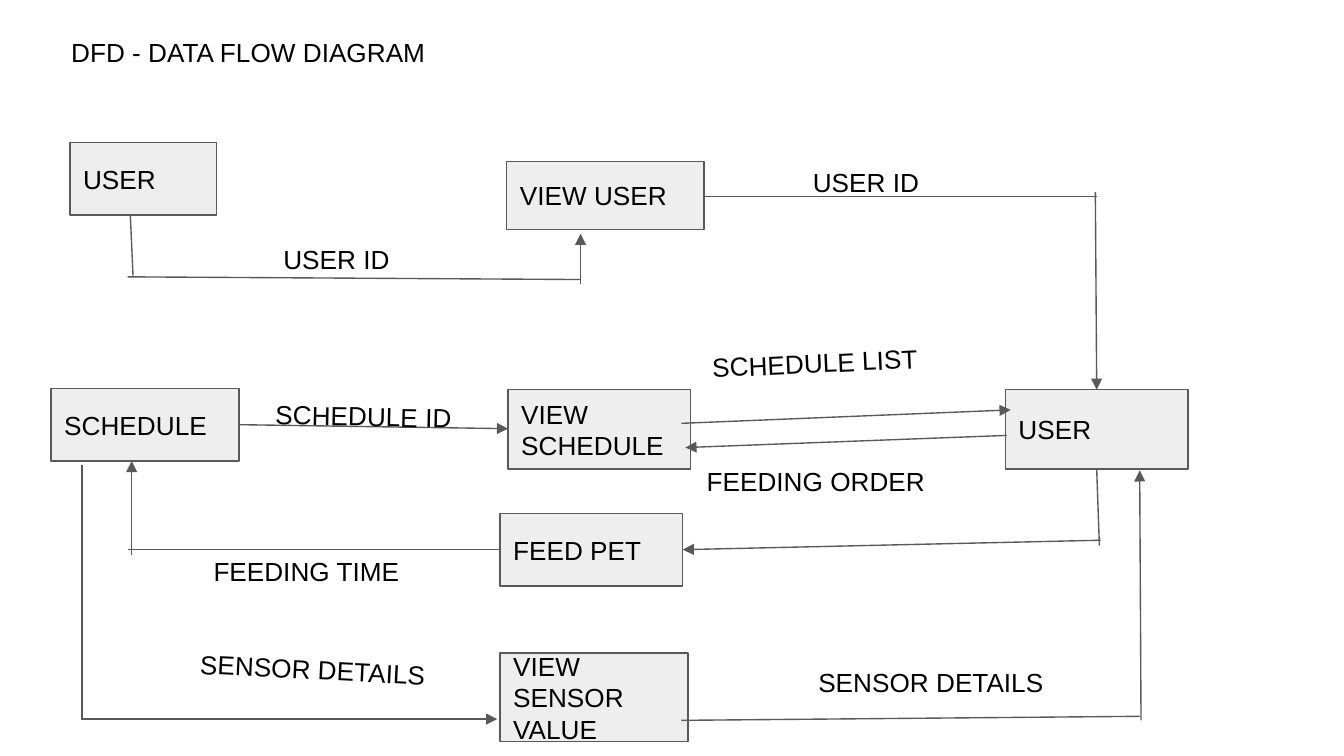
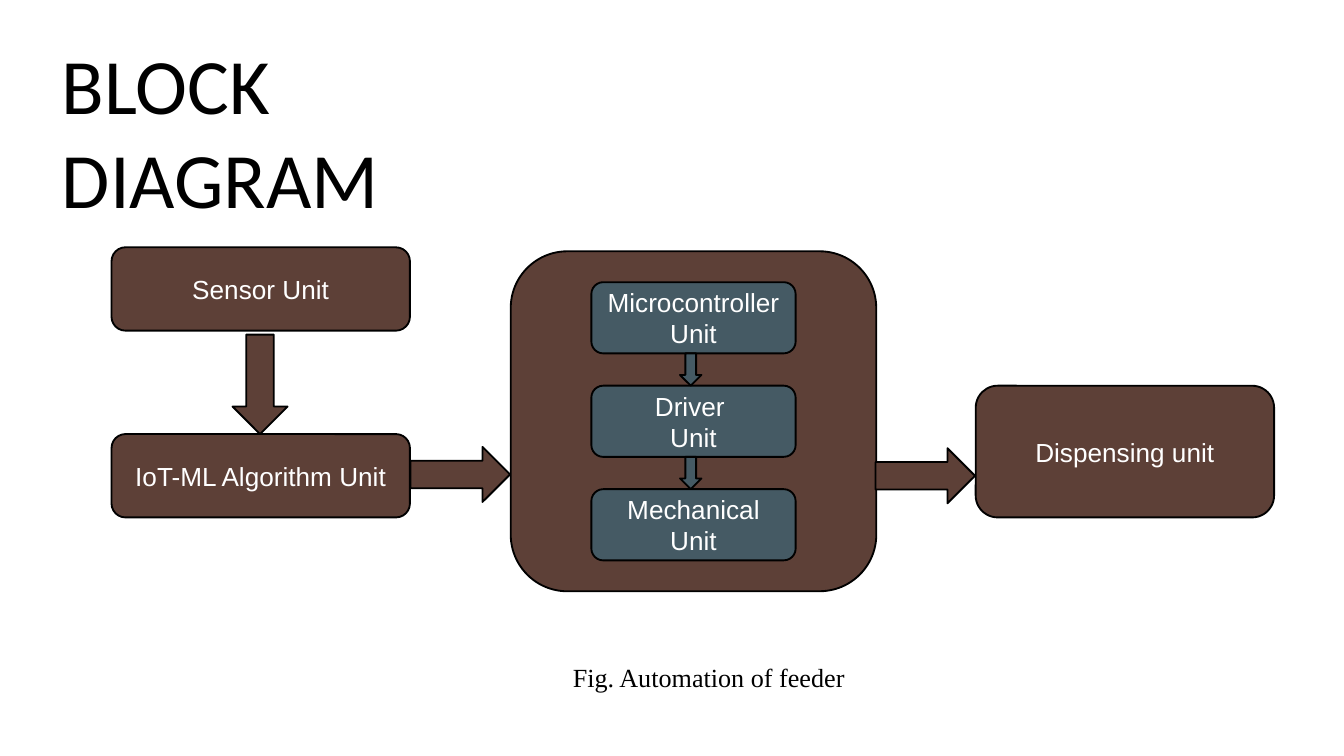
from lxml.etree import SubElement
from pptx import Presentation
from pptx.dml.color import RGBColor
from pptx.enum.shapes import MSO_CONNECTOR as Link, MSO_SHAPE as Form
from pptx.enum.text import MSO_ANCHOR as Anchor, MSO_AUTO_SIZE as Fit, PP_ALIGN as Align
from pptx.oxml.ns import qn
from pptx.util import Pt

PX = 9144
WIDE = 1000 * PX
BLACK = RGBColor(0x00, 0x00, 0x00)
WHITE = RGBColor(0xFF, 0xFF, 0xFF)
PALE = RGBColor(0xEE, 0xEE, 0xEE)
GREY = RGBColor(0x59, 0x59, 0x59)
BROWN = RGBColor(0x5D, 0x40, 0x37)
SLATE = RGBColor(0x45, 0x5A, 0x64)

FLOW = dict(fill=PALE, edge=GREY, width=0.75)
EARTH = dict(fill=BROWN, edge=BLACK, width=1)
STEEL = dict(fill=SLATE, edge=BLACK, width=1)

NODES = [
    ("USER", 52, 106, 109, 54),
    ("VIEW USER", 377, 120, 147, 51),
    ("VIEW SCHEDULE", 378, 290, 136, 59),
    ("VIEW SENSOR VALUE", 372, 486, 140, 66),
    ("SCHEDULE", 38, 289, 140, 54),
    ("FEED PET", 372, 382, 136, 54),
    ("USER", 748, 290, 136, 59),
]
LINES = [
    (97, 160, 99, 205),
    (95, 206, 432, 208),
    (524, 146, 816, 146),
    (372, 409, 95, 409),
    (816, 349, 818, 406),
    (61, 346, 61, 536),
    (507, 536, 848, 533),
]
ARROWS = [
    (432, 211, 432, 174),
    (815, 143, 816, 290),
    (178, 316, 378, 319),
    (507, 315, 752, 305),
    (749, 324, 510, 333),
    (98, 413, 98, 343),
    (819, 402, 508, 409),
    (62, 535, 370, 535),
    (849, 536, 848, 350),
]
LABELS = [
    ("USER ID", 201, 171, 147, 0),
    ("USER ID", 595, 114, 136, 0),
    ("SCHEDULE ID", 195, 288, 162, 1.3),
    ("FEEDING ORDER", 516, 336, 295, 0),
    ("SCHEDULE LIST", 520, 246, 257, 357.3),
    ("FEEDING TIME", 149, 403, 181, 0),
    ("SENSOR DETAILS", 139, 477, 209, 2.9),
    ("SENSOR DETAILS", 599, 486, 225, 0),
]
UNITS = ["Microcontroller Unit", "Driver \nUnit", "Mechanical Unit"]


def scale(*px):
    return [n * PX for n in px]


def apply(item, vals):
    for key, val in vals.items():
        setattr(item, key, val)


def write(shape, text, size=14, face="Arial", hue=BLACK, align=Align.LEFT,
          anchor=Anchor.TOP, fit=Fit.NONE, pad=(10, 10)):
    frame = shape.text_frame
    frame.text = text
    side, top = scale(*pad)
    apply(frame, dict(word_wrap=True, auto_size=fit, vertical_anchor=anchor,
                      margin_left=side, margin_right=side,
                      margin_top=top, margin_bottom=top))
    for para in frame.paragraphs:
        para.alignment = align
        for run in para.runs:
            apply(run.font, dict(size=Pt(size), name=face))
            run.font.color.rgb = hue


def title(slide, text, box, **form):
    shape = slide.shapes.title
    apply(shape, dict(zip(("left", "top", "width", "height"), scale(*box))))
    write(shape, text, **form)


def block(slide, kind, box, look):
    shape = slide.shapes.add_shape(kind, *scale(*box))
    shape.shadow.inherit = False
    shape.fill.solid()
    shape.fill.fore_color.rgb = look["fill"]
    shape.line.color.rgb = look["edge"]
    shape.line.width = Pt(look["width"])
    return shape


def node(slide, text, *box):
    write(block(slide, Form.RECTANGLE, box, FLOW), text, anchor=Anchor.MIDDLE)


def unit(slide, text, box, look):
    shape = block(slide, Form.ROUNDED_RECTANGLE, box, look)
    write(shape, text, hue=WHITE, align=Align.CENTER,
          anchor=Anchor.MIDDLE, pad=(7, 4))


def label(slide, text, left, top, width, turn=0, **form):
    shape = slide.shapes.add_textbox(*scale(left, top, width, 44))
    shape.rotation = turn
    write(shape, text, fit=Fit.SHAPE_TO_FIT_TEXT, **form)


def link(slide, ends, head=False):
    line = slide.shapes.add_connector(Link.STRAIGHT, *scale(*ends))
    line.line.color.rgb = GREY
    line.line.width = Pt(0.75)
    props = line.element.spPr
    if head:
        SubElement(props.find(qn("a:ln")), qn("a:tailEnd"), type="triangle")
    SubElement(props, qn("a:effectLst"))


def draw_flow(slide):
    title(slide, "DFD - DATA FLOW DIAGRAM", (43, 17, 800, 44))
    for item in NODES:
        node(slide, *item)
    for ends in LINES:
        link(slide, ends)
    for ends in ARROWS:
        link(slide, ends, head=True)
    for item in LABELS:
        label(slide, *item)


def draw_block(slide):
    title(slide, "BLOCK DIAGRAM", (36, 17, 328, 91), size=42, face="Calibri")
    unit(slide, "Sensor Unit", (83, 184, 222, 62), EARTH)
    block(slide, Form.DOWN_ARROW, (173, 249, 41, 74), EARTH)
    unit(slide, "IoT-ML Algorithm Unit", (83, 323, 222, 62), EARTH)
    block(slide, Form.ROUNDED_RECTANGLE, (380, 187, 272, 253), EARTH)
    for left, top in ((322, 316), (668, 317)):
        arrow = block(slide, Form.DOWN_ARROW, (left, top, 41, 74), EARTH)
        arrow.rotation = 270
    for row, text in enumerate(UNITS):
        top = 210 + 77 * row
        unit(slide, text, (440, top, 152, 53), STEEL)
        if row:
            block(slide, Form.DOWN_ARROW, (506, top - 24, 16, 24), STEEL)
    unit(slide, "Dispensing unit", (726, 287, 222, 98), EARTH)
    label(slide, "Fig. Automation of feeder", 305, 482, 445,
          face="Times New Roman", align=Align.CENTER)


def main():
    deck = Presentation()
    apply(deck, dict(slide_width=WIDE, slide_height=WIDE * 9 // 16))
    for draw in (draw_flow, draw_block):
        draw(deck.slides.add_slide(deck.slide_layouts[5]))
    deck.save("out.pptx")


if __name__ == "__main__":
    main()
